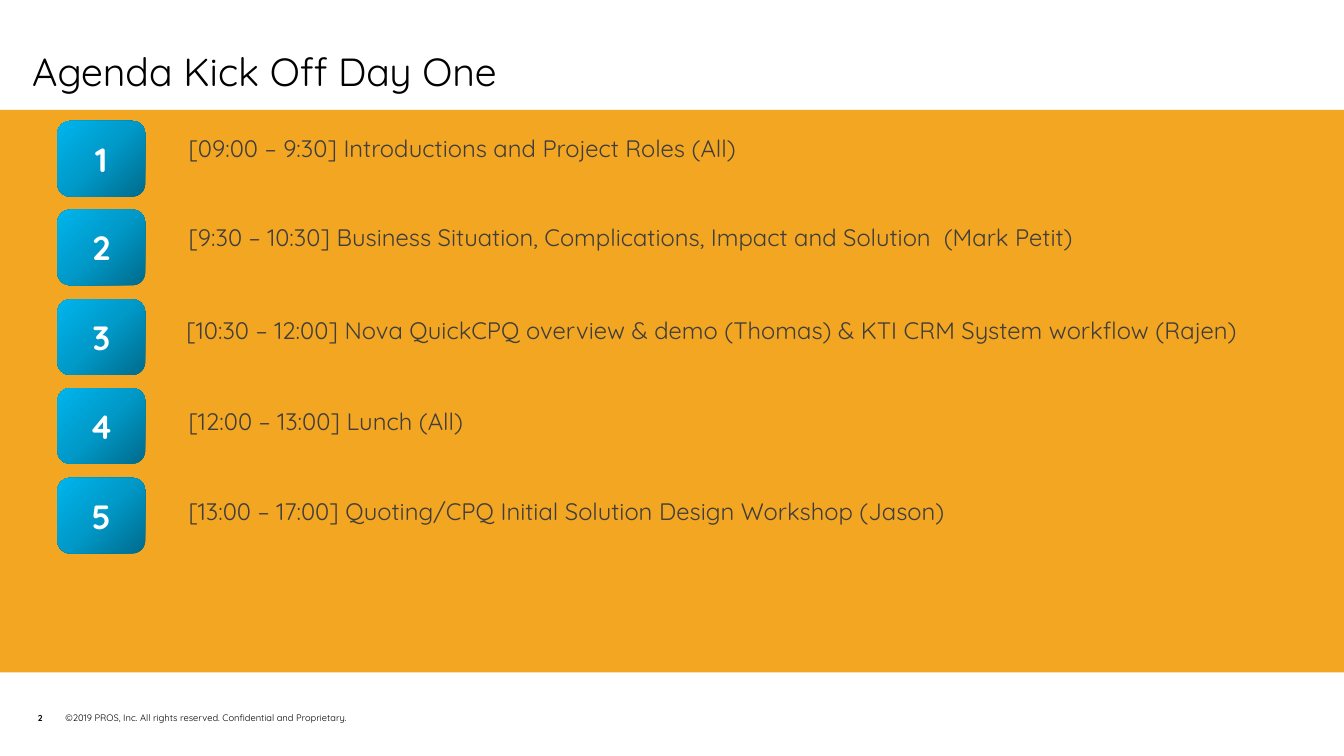
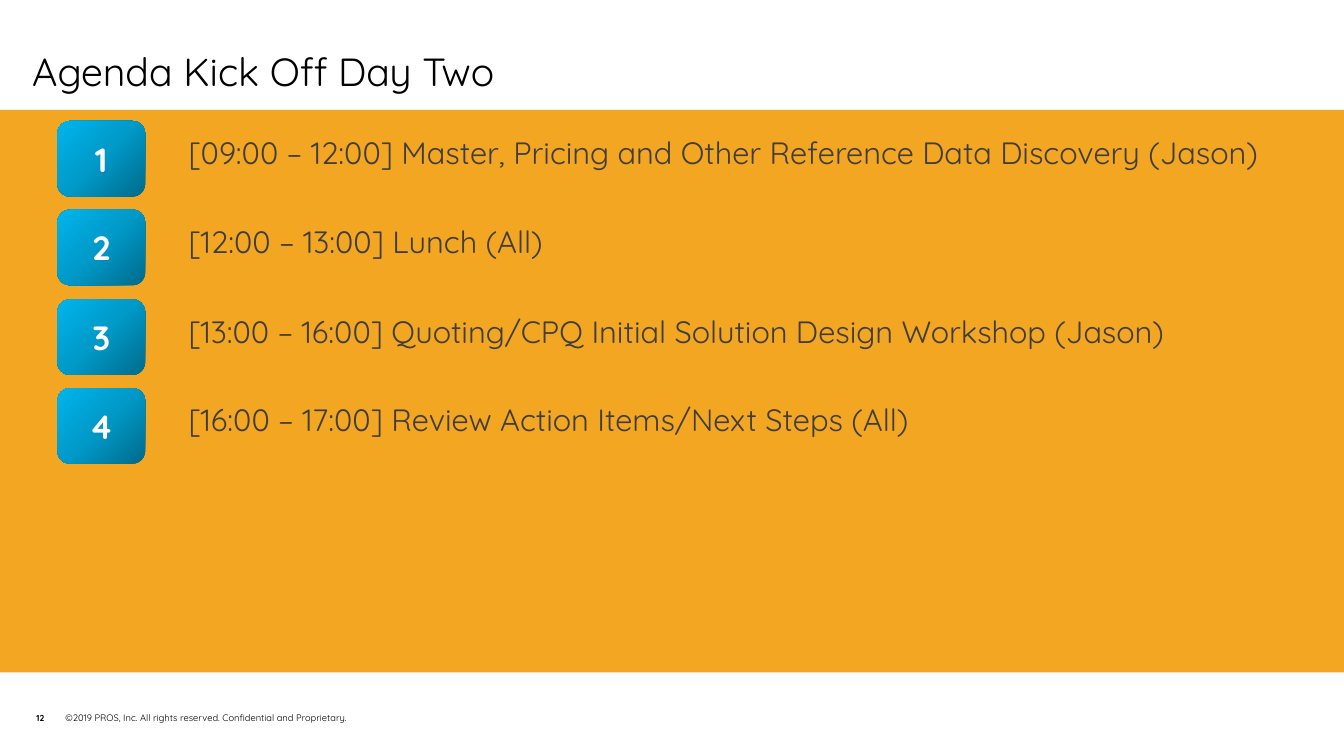
from pptx import Presentation
from pptx.dml.color import RGBColor
from pptx.enum.shapes import MSO_SHAPE
from pptx.enum.text import MSO_ANCHOR, PP_ALIGN
from pptx.oxml import parse_xml
from pptx.oxml.ns import nsdecls, qn
from pptx.util import Pt

RECT, ROUND = MSO_SHAPE.RECTANGLE, MSO_SHAPE.ROUNDED_RECTANGLE
TOP, MIDDLE = MSO_ANCHOR.TOP, MSO_ANCHOR.MIDDLE
LEFT, CENTER = PP_ALIGN.LEFT, PP_ALIGN.CENTER

PX = 9144
FONT = "Quicksand"
BLACK, WHITE, GREY, ORANGE = "000000", "FFFFFF", "403D3B", "F2A622"
BLUES = [(0, "006B8C"), (50, "0099C8"), (100, "00B5ED")]
LEGAL = "©2019 PROS, Inc. All rights reserved. Confidential and Proprietary."

DAYS = [
    {
        "title": "Agenda Kick Off Day One", "page": 2, "size": 17,
        "rows": [
            ("[09:00 – 9:30] Introductions and Project Roles (All)", 0, 0),
            ("[9:30 – 10:30] Business Situation, Complications, Impact and Solution  (Mark Petit)", 0, 0),
            ("[10:30 – 12:00] Nova QuickCPQ overview & demo (Thomas) & KTI CRM System workflow (Rajen)", -2, 3),
            ("[12:00 – 13:00] Lunch (All)", 0, 5),
            ("[13:00 – 17:00] Quoting/CPQ Initial Solution Design Workshop (Jason)", 0, 6),
        ],
    },
    {
        "title": "Agenda Kick Off Day Two", "page": 12, "size": 22,
        "rows": [
            ("[09:00 – 12:00] Master, Pricing and Other Reference Data Discovery (Jason)", 0, 0),
            ("[12:00 – 13:00] Lunch (All)", 0, 0),
            ("[13:00 – 16:00] Quoting/CPQ Initial Solution Design Workshop (Jason)", 0, 0),
            ("[16:00 – 17:00] Review Action Items/Next Steps (All)", 0, 0),
        ],
    },
]


def rgb(code):
    return RGBColor.from_string(code)


def scale(*box):
    return [n * PX for n in box]


def write(shape, text, size, color, bold=False, align=LEFT, anchor=TOP, pad=(10, 5)):
    frame = shape.text_frame
    frame.text = text
    frame.word_wrap = True
    frame.vertical_anchor = anchor
    frame.margin_left = frame.margin_right = pad[0] * PX
    frame.margin_top = frame.margin_bottom = pad[1] * PX
    para = frame.paragraphs[0]
    para.alignment = align
    font = para.runs[0].font
    font.name, font.size, font.bold = FONT, Pt(size), bold
    font.color.rgb = rgb(color)


def label(slide, box, *args, **style):
    write(slide.shapes.add_textbox(*scale(*box)), *args, **style)


def block(slide, kind, box):
    shape = slide.shapes.add_shape(kind, *scale(*box))
    shape.shadow.inherit = False
    shape.line.fill.background()
    return shape


def shade(shape):
    stops = "".join(
        f'<a:gs pos="{pos * 1000}"><a:srgbClr val="{code}"/></a:gs>'
        for pos, code in BLUES)
    fill = parse_xml(
        f'<a:gradFill {nsdecls("a")} rotWithShape="1"><a:gsLst>{stops}</a:gsLst>'
        f'<a:lin ang="{225 * 60000}" scaled="0"/></a:gradFill>')
    shape.fill.background()
    props = shape.element.spPr
    props.replace(props.find(qn("a:noFill")), fill)


def frame_page(slide, title, page):
    label(slide, (55, 702, 315, 21), LEGAL, 6.7, BLACK)
    label(slide, (25, 702, 30, 21), str(page), 6.2, BLACK,
          bold=True, align=CENTER, pad=(0, 5))
    band = block(slide, RECT, (0, 109, 1333, 558))
    band.fill.solid()
    band.fill.fore_color.rgb = rgb(ORANGE)
    label(slide, (32, 47, 727, 63), title, 28, BLACK, pad=(0, 0))


def add_row(slide, index, row, size):
    text, right, down = row
    top = 120 + index * 177 // 2
    tile = block(slide, ROUND, (57, top, 87, 75))
    shade(tile)
    write(tile, str(index + 1), 24, WHITE, bold=True, align=CENTER, anchor=MIDDLE)
    label(slide, (175 + right, top + 7 + down, 1136, 49), text, size, GREY, pad=(12, 6))


def main():
    """Build the two agenda slides and save them."""
    deck = Presentation()
    deck.slide_width, deck.slide_height = scale(1333, 750)
    for day in DAYS:
        slide = deck.slides.add_slide(deck.slide_layouts[6])
        frame_page(slide, day["title"], day["page"])
        for index, row in enumerate(day["rows"]):
            add_row(slide, index, row, day["size"])
    deck.save("out.pptx")


if __name__ == "__main__":
    main()
